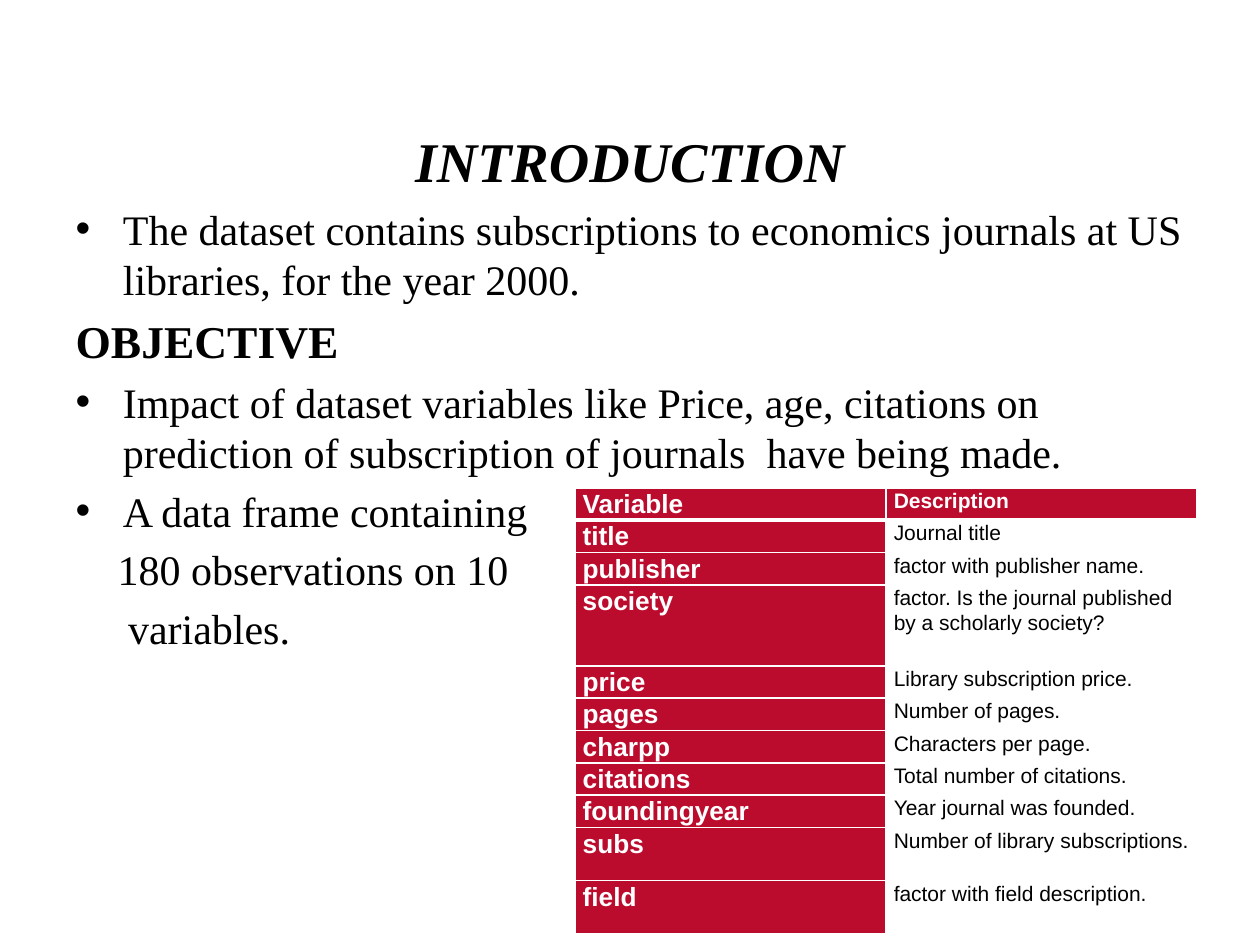
from pptx import Presentation
from pptx.dml.color import RGBColor
from pptx.enum.text import MSO_ANCHOR, MSO_AUTO_SIZE, PP_ALIGN
from pptx.oxml.ns import qn
from pptx.util import Pt
from lxml import etree

CENTER = PP_ALIGN.CENTER
MIDDLE = MSO_ANCHOR.MIDDLE
NO_AUTOFIT = MSO_AUTO_SIZE.NONE

COLORS = {"ink": "000000", "paper": "FFFFFF", "accent": "BB0C2E"}
SERIF, SANS = "Times New Roman", "Arial"

TITLE = dict(name=SERIF, size=Pt(32), bold=True, italic=True)
BODY = dict(name=SERIF, size=Pt(24), bold=False)
HEADING = dict(name=SERIF, size=Pt(26), bold=True)
VARIABLE = dict(name=SANS, size=Pt(15), bold=True)
DESCRIPTION = dict(name=SANS, size=Pt(12), bold=False)

# text, format, left margin in points, bulleted
PARAGRAPHS = [
    ("The dataset contains subscriptions to economics journals at US "
     "libraries, for the year 2000.", BODY, 27, True),
    ("OBJECTIVE", HEADING, 0, False),
    ("Impact of dataset variables like Price, age, citations on prediction "
     "of subscription of journals  have being made.", BODY, 27, True),
    ("A data frame containing", BODY, 27, True),
    ("180 observations on 10", BODY, 24, False),
    ("variables.", BODY, 30, False),
]

ROW, MEDIUM_ROW, TALL_ROW = 18.5, 30.25, 46.25
ROWS = [
    ("Variable", "Description", ROW),
    ("title", "Journal title", ROW),
    ("publisher", "factor with publisher name.", ROW),
    ("society", "factor. Is the journal published by a scholarly society?",
     TALL_ROW),
    ("price", "Library subscription price.", ROW),
    ("pages", "Number of pages.", ROW),
    ("charpp", "Characters per page.", ROW),
    ("citations", "Total number of citations.", ROW),
    ("foundingyear", "Year journal was founded.", ROW),
    ("subs", "Number of library subscriptions.", MEDIUM_ROW),
    ("field", "factor with field description.", MEDIUM_ROW),
]


class SlideBuilder:
    def __init__(self, slide):
        self.slide = slide

    def place(self, sp, left, top, width, height):
        sp.left, sp.top = Pt(left), Pt(top)
        sp.width, sp.height = Pt(width), Pt(height)

    def add_text(self, p, text, style, color="ink"):
        r = p.add_run()
        r.text = text
        for key, value in style.items():
            setattr(r.font, key, value)
        r.font.color.rgb = RGBColor.from_string(COLORS[color])

    def title(self, text, box):
        sp = self.slide.shapes.title
        self.place(sp, *box)
        tf = sp.text_frame
        tf.auto_size, tf.vertical_anchor = NO_AUTOFIT, MIDDLE
        p = tf.paragraphs[0]
        p.alignment = CENTER
        self.add_text(p, text, TITLE)

    def body(self, paragraphs, box):
        sp = self.slide.placeholders[1]
        self.place(sp, *box)
        tf = sp.text_frame
        tf.auto_size = NO_AUTOFIT
        for i, (text, style, margin, bulleted) in enumerate(paragraphs):
            p = tf.add_paragraph() if i else tf.paragraphs[0]
            self.indent(p, margin, bulleted)
            self.add_text(p, text, style)

    def indent(self, p, margin, bulleted):
        pPr = p._p.get_or_add_pPr()
        pPr.set("marL", str(Pt(margin)))
        pPr.set("indent", str(Pt(-margin if bulleted else 0)))
        if bulleted:
            etree.SubElement(pPr, qn("a:buFont"), typeface=SANS)
            etree.SubElement(pPr, qn("a:buChar"), char="•")
        else:
            etree.SubElement(pPr, qn("a:buNone"))

    def table(self, rows, left, top, col_width):
        height = sum(row[2] for row in rows)
        table = self.slide.shapes.add_table(
            len(rows), 2, Pt(left), Pt(top), Pt(2 * col_width), Pt(height)).table
        for col in table.columns:
            col.width = Pt(col_width)
        for i, (variable, description, row_height) in enumerate(rows):
            table.rows[i].height = Pt(row_height)
            header = i == 0
            borders = dict(L=1, R=1, T=3 if i == 1 else 1, B=3 if header else 1)
            self.cell(table.cell(i, 0), variable, VARIABLE, True, borders)
            style = dict(DESCRIPTION, bold=header)
            self.cell(table.cell(i, 1), description, style, header, borders)

    def cell(self, cell, text, style, filled, borders):
        cell.margin_left = cell.margin_right = Pt(4.5)
        cell.margin_top = cell.margin_bottom = 0
        p = cell.text_frame.paragraphs[0]
        p.line_spacing = 1.07
        self.add_text(p, text, style, "paper" if filled else "ink")
        tcPr = cell._tc.get_or_add_tcPr()
        for side, width in borders.items():
            ln = etree.SubElement(tcPr, qn(f"a:ln{side}"), w=str(Pt(width)))
            fill = etree.SubElement(ln, qn("a:solidFill"))
            etree.SubElement(fill, qn("a:srgbClr"), val=COLORS["paper"])
        cell.fill.solid()
        cell.fill.fore_color.rgb = RGBColor.from_string(
            COLORS["accent" if filled else "paper"])


def main():
    prs = Presentation()
    prs.slide_width, prs.slide_height = Pt(720), Pt(540)
    builder = SlideBuilder(prs.slides.add_slide(prs.slide_layouts[1]))
    builder.body(PARAGRAPHS, (36, 112.5, 648, 342))
    builder.title("INTRODUCTION", (36, 56, 648, 70.5))
    builder.table(ROWS, 328.5, 278.75, 177.75)
    prs.save("out.pptx")


if __name__ == "__main__":
    main()
